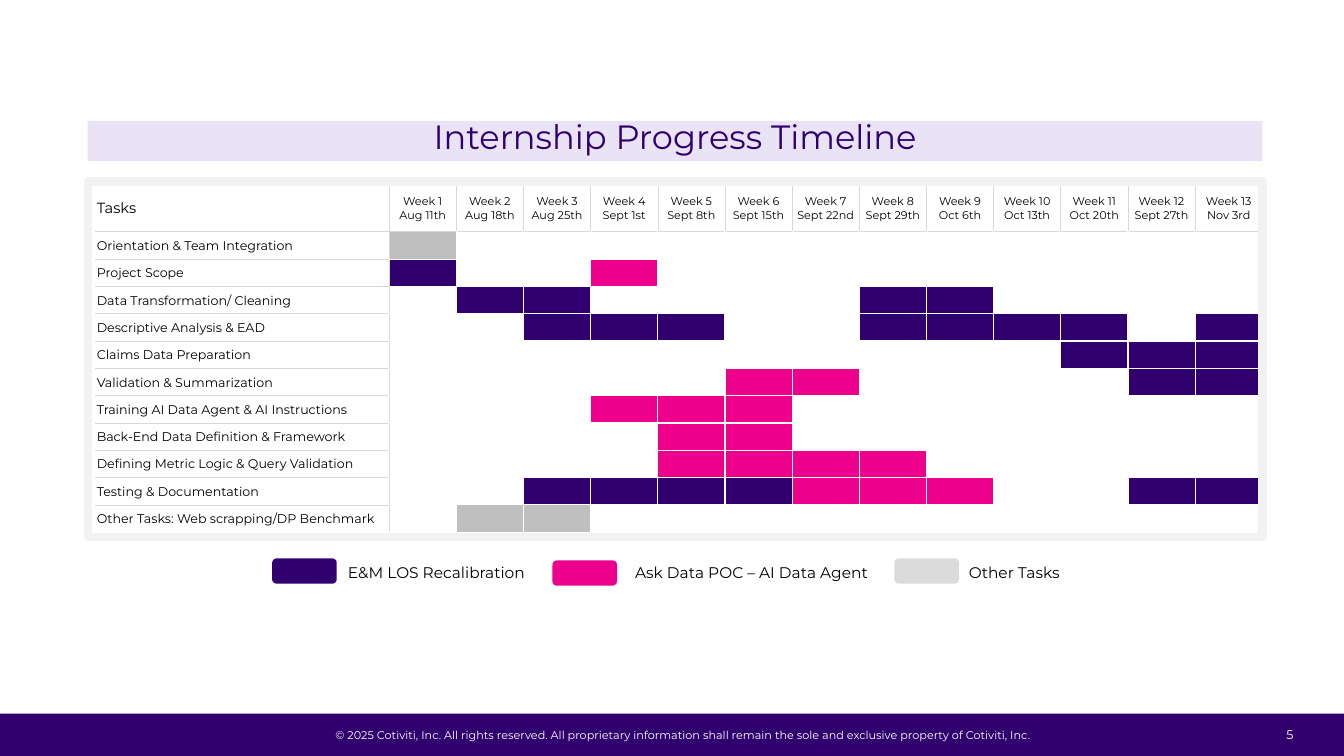
from lxml import etree
from pptx import Presentation
from pptx.dml.color import RGBColor
from pptx.enum import shapes, text
from pptx.oxml.ns import qn
from pptx.util import Inches, Pt

PURPLE = RGBColor(0x30, 0x00, 0x6F)
PINK = RGBColor(0xEC, 0x00, 0x8C)
LILAC = RGBColor(0xE9, 0xE3, 0xF5)
BAR_GRAY = RGBColor(0xBF, 0xBF, 0xBF)
KEY_GRAY = RGBColor(0xDB, 0xDB, 0xDB)
RULE_GRAY = RGBColor(0xD9, 0xD9, 0xD9)
FRAME_GRAY = RGBColor(0xF2, 0xF2, 0xF2)
WHITE = RGBColor(0xFF, 0xFF, 0xFF)
BLACK = RGBColor(0x00, 0x00, 0x00)
FONT = "Montserrat"

TITLE = "Internship Progress Timeline"
COPYRIGHT = (
    "© 2025 Cotiviti, Inc. All rights reserved. All proprietary information "
    "shall remain the sole and exclusive property of Cotiviti, Inc."
)
PAGE_NUMBER = "5"
WEEK_STARTS = [
    "Aug 11th", "Aug 18th", "Aug 25th", "Sept 1st", "Sept 8th", "Sept 15th", "Sept 22nd",
    "Sept 29th", "Oct 6th", "Oct 13th", "Oct 20th", "Sept 27th", "Nov 3rd",
]
BAR_COLORS = {"E": PURPLE, "A": PINK, "O": BAR_GRAY}
TASKS = [
    ("Orientation & Team Integration", "O............"),
    ("Project Scope", "E..A........."),
    ("Data Transformation/ Cleaning", ".EE....EE...."),
    ("Descriptive Analysis & EAD", "..EEE..EEEE.E"),
    ("Claims Data Preparation", "..........EEE"),
    ("Validation & Summarization", ".....AA....EE"),
    ("Training AI Data Agent & AI Instructions", "...AAA......."),
    ("Back-End Data Definition & Framework", "....AA......."),
    ("Defining Metric Logic & Query Validation", "....AAAA....."),
    ("Testing & Documentation", "..EEEEAAA..EE"),
    ("Other Tasks: Web scrapping/DP Benchmark", ".OO.........."),
]
LEGEND = [
    ("E&M LOS Recalibration", PURPLE, 2.7, 5.54, 3.18, 2.3, text.PP_ALIGN.CENTER),
    ("Ask Data POC – AI Data Agent", PINK, 5.48, 5.56, 6.08, 2.75, text.PP_ALIGN.CENTER),
    ("Other Tasks", KEY_GRAY, 8.87, 5.54, 9.51, 2.75, text.PP_ALIGN.LEFT),
]

TABLE_LEFT, TABLE_TOP, TABLE_WIDTH, TABLE_HEIGHT = 0.95, 1.82, 11.57, 3.46
LABEL_WIDTH, HEADER_HEIGHT = 2.91, 0.48
WEEK_WIDTH = (TABLE_WIDTH - LABEL_WIDTH) / len(WEEK_STARTS)
TASK_HEIGHT = (TABLE_HEIGHT - HEADER_HEIGHT) / len(TASKS)


def style_text(para, size, color, align):
    para.alignment = align
    for span in para.runs:
        span.font.name = FONT
        span.font.size = Pt(size)
        span.font.color.rgb = color


def add_box(page, kind, left, top, width, height, fill=None):
    box = page.shapes.add_shape(kind, Inches(left), Inches(top), Inches(width), Inches(height))
    box.shadow.inherit = False
    box.line.fill.background()
    if fill is None:
        box.fill.background()
    else:
        box.fill.solid()
        box.fill.fore_color.rgb = fill
    return box


def add_text(page, words, left, top, width, height, size, color, align, wrap=True):
    box = page.shapes.add_textbox(Inches(left), Inches(top), Inches(width), Inches(height))
    box.text_frame.text = words
    box.text_frame.word_wrap = wrap
    style_text(box.text_frame.paragraphs[0], size, color, align)
    return box


def clear_margins(frame):
    frame.margin_left = frame.margin_right = frame.margin_top = frame.margin_bottom = 0


def cell_edges(row, column):
    white = (WHITE, 1)
    thick, thin = (RULE_GRAY, 1), (RULE_GRAY, 0.5)
    header, label = row == 0, column == 0
    last_row, last_column = row == len(TASKS), column == len(WEEK_STARTS)
    left = white if label else thick if column == 1 else thin if header else white
    right = thick if label else thin if header and not last_column else white
    top = white if header else thick if row == 1 else thin if label else white
    bottom = thick if header else thin if label and not last_row else white
    return {"lnL": left, "lnR": right, "lnT": top, "lnB": bottom}


def draw_edges(cell, edges):
    properties = cell._tc.get_or_add_tcPr()
    for tag, (color, width) in edges.items():
        line = etree.SubElement(properties, qn(f"a:{tag}"), w=str(int(Pt(width))))
        solid = etree.SubElement(line, qn("a:solidFill"))
        etree.SubElement(solid, qn("a:srgbClr"), val=str(color))


def fill_cell(cell, row, column):
    para = cell.text_frame.paragraphs[0]
    if column == 0:
        para.text = TASKS[row - 1][0] if row else "Tasks"
        style_text(para, 9 if row else 10.5, BLACK, text.PP_ALIGN.LEFT)
    elif row == 0:
        para.add_run().text = f"Week {column}"
        para.add_line_break()
        para.add_run().text = WEEK_STARTS[column - 1]
        style_text(para, 8, BLACK, text.PP_ALIGN.CENTER)
    else:
        etree.SubElement(para._p, qn("a:endParaRPr"), sz="800")
        return BAR_COLORS.get(TASKS[row - 1][1][column - 1])
    return None


def add_timeline(page):
    table = page.shapes.add_table(
        len(TASKS) + 1, len(WEEK_STARTS) + 1,
        Inches(TABLE_LEFT), Inches(TABLE_TOP), Inches(TABLE_WIDTH), Inches(TABLE_HEIGHT),
    ).table
    table.first_row = table.horz_banding = False
    for index, column in enumerate(table.columns):
        column.width = Inches(WEEK_WIDTH if index else LABEL_WIDTH)
    for row_index, row in enumerate(table.rows):
        row.height = Inches(TASK_HEIGHT if row_index else HEADER_HEIGHT)
        for column_index, cell in enumerate(row.cells):
            cell.margin_left = cell.margin_right = cell.margin_top = Inches(0.01)
            cell.margin_bottom = 0
            cell.vertical_anchor = text.MSO_ANCHOR.MIDDLE
            color = fill_cell(cell, row_index, column_index)
            draw_edges(cell, cell_edges(row_index, column_index))
            if color is None:
                cell.fill.background()
            else:
                cell.fill.solid()
                cell.fill.fore_color.rgb = color


def main():
    deck = Presentation()
    deck.slide_width, deck.slide_height = Inches(13.33), Inches(7.5)
    page = deck.slides.add_slide(deck.slide_layouts[6])
    rectangle = shapes.MSO_SHAPE.RECTANGLE
    center = text.PP_ALIGN.CENTER

    add_box(page, rectangle, 0, 7.08, 13.33, 0.42, PURPLE)
    add_text(page, COPYRIGHT, 3.21, 7.18, 7.14, 0.24, 8, WHITE, center, wrap=False)
    number = add_text(page, PAGE_NUMBER, 12.3, 7.14, 0.53, 0.3, 9, WHITE, text.PP_ALIGN.RIGHT)
    clear_margins(number.text_frame)
    number.text_frame.vertical_anchor = text.MSO_ANCHOR.MIDDLE

    add_timeline(page)
    frame = add_box(page, rectangle, 0.87, 1.8, 11.65, 3.53)
    frame.line.color.rgb = FRAME_GRAY
    frame.line.width = Pt(6)

    title = add_box(page, rectangle, 0.87, 1.2, 11.65, 0.4, LILAC)
    title.text_frame.text = TITLE
    title.text_frame.vertical_anchor = text.MSO_ANCHOR.TOP
    clear_margins(title.text_frame)
    title.text_frame.paragraphs[0].line_spacing = 0.9
    style_text(title.text_frame.paragraphs[0], 24, PURPLE, center)

    for words, color, key_left, key_top, left, width, align in LEGEND:
        add_box(page, shapes.MSO_SHAPE.ROUNDED_RECTANGLE, key_left, key_top, 0.64, 0.25, color)
        add_text(page, words, left, 5.54, width, 0.29, 11, BLACK, align)

    deck.save("out.pptx")


if __name__ == "__main__":
    main()
